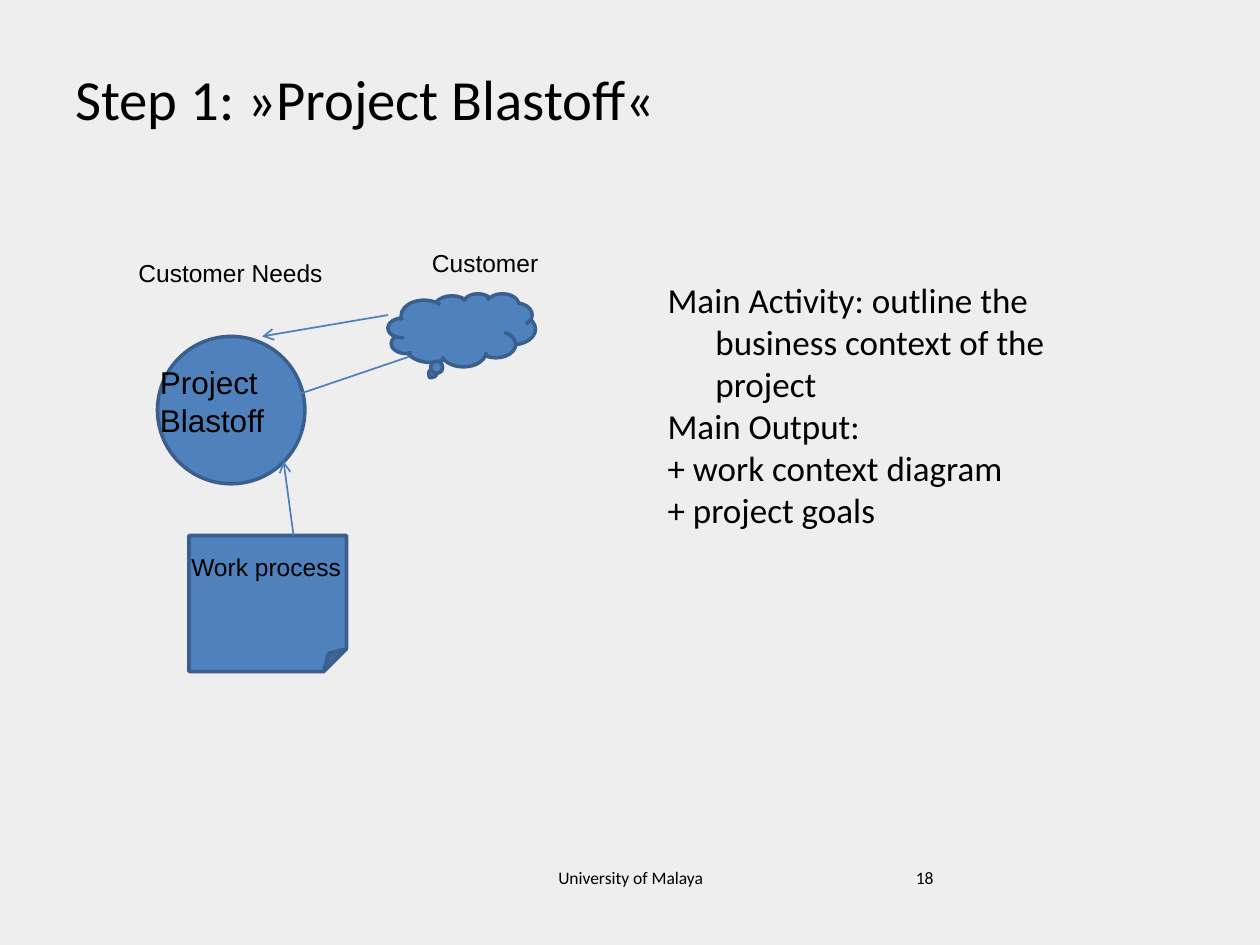
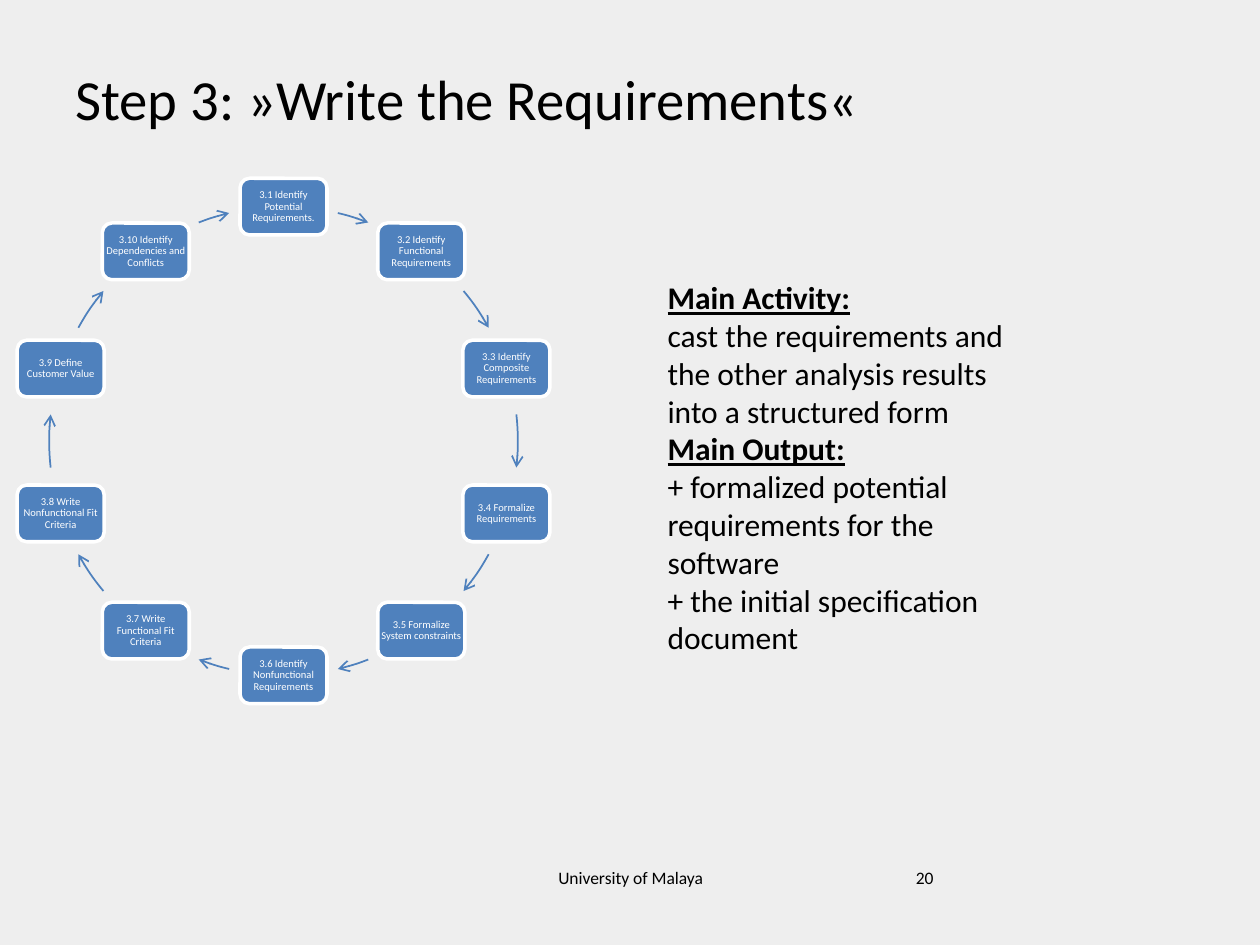
from dataclasses import dataclass
from math import cos, radians, sin

from lxml import etree
from pptx import Presentation
from pptx import util as u
from pptx.dml import color as col
from pptx.enum import shapes, text
from pptx.oxml import ns

KIND = shapes.MSO_SHAPE


@dataclass(frozen=True)
class Theme:
    back: str = "EEEEEE"
    ink: str = "000000"
    blue: str = "4F81BD"
    edge: str = "3A5F8C"
    white: str = "FFFFFF"
    main: str = "Calibri"
    alt: str = "Arial"
    title: float = 32.4
    foot: float = 10
    step: float = 6


THEME = Theme()
FOOTER = "University of Malaya"

# Places are left, top, width, height in inches.
TITLE_BOX = (0.5, 0.39, 9, 1.25)
BODY_BOX = (5.2, 2.16, 3.3, 4.54)
FOOT_BOX = (3.42, 6.83, 3.17, 0.52)
PAGE_BOX = (7.17, 6.83, 2.33, 0.52)

BLAST = dict(
    title="Step 1: »Project Blastoff«", page="18", size=20, heads=(),
    body=["Main Activity: outline the business context of the project",
          "Main Output:", "+ work context diagram", "+ project goals"])
FORMS = [
    (KIND.FOLDED_CORNER, (1.5, 4.25, 1.25, 1.08)),
    (KIND.OVAL, (1.25, 2.67, 1.17, 1.17)),
    (KIND.CLOUD_CALLOUT, (3.08, 2.33, 1.17, 0.58)),
]
LINKS = [
    ((3.25, 2.83), (2.25, 3.17)),
    ((3.08, 2.5), (2.08, 2.67)),
    ((2.33, 4.25), (2.25, 3.66)),
]
LABELS = [
    ("Project Blastoff", 18, (1.17, 2.83, 1.5, 0.71)),
    ("Customer Needs", 14, (1, 2, 1.75, 0.34)),
    ("Work process", 14, (1.42, 4.33, 1.5, 0.34)),
    ("Customer", 14, (3.33, 1.92, 1.33, 0.34)),
]

WRITE = dict(
    title="Step 3: »Write the Requirements«", page="20", size=18,
    heads=("Main Activity:", "Main Output:"),
    body=["Main Activity:", "cast the requirements and",
          "the other analysis results", "into a structured form",
          "Main Output:", "+ formalized potential",
          "requirements for the", "software",
          "+ the initial specification", "document"])
STEPS = [
    "3.1 Identify Potential Requirements.",
    "3.2 Identify Functional Requirements",
    "3.3 Identify Composite Requirements",
    "3.4 Formalize Requirements",
    "3.5 Formalize System constraints",
    "3.6 Identify Nonfunctional Requirements",
    "3.7 Write Functional Fit Criteria",
    "3.8 Write Nonfunctional Fit Criteria",
    "3.9 Define Customer Value",
    "3.10 Identify Dependencies and Conflicts",
]
HUB, RADIUS, NODE = (2.25, 3.5), 1.86, (0.69, 0.45)
# Start and end angle of each arrow on the right half; the left half repeats them.
ARCS = [(13.4, 21.2), (50.2, 61.1), (83.5, 96.5), (118.9, 129.8), (158.8, 166.6)]


def rgb(code):
    return col.RGBColor.from_string(code)


def inch(vals):
    return [u.Inches(v) for v in vals]


def style(para, size, name=THEME.main, ink=THEME.ink):
    para.font.size, para.font.name = u.Pt(size), name
    para.font.color.rgb = rgb(ink)


def write(slide, lines, place, size, name=THEME.main):
    box = slide.shapes.add_textbox(*inch(place))
    frame = box.text_frame
    frame.word_wrap = True
    frame.text = "\n".join(lines)
    for para in frame.paragraphs:
        style(para, size, name)
    return frame


def form(slide, kind, place, edge):
    shape = slide.shapes.add_shape(kind, *inch(place))
    shape.shadow.inherit = False
    shape.fill.solid()
    shape.fill.fore_color.rgb = rgb(THEME.blue)
    shape.line.color.rgb = rgb(edge)
    shape.line.width = u.Pt(2)
    return shape


def point(shape):
    """Style a line and give its end an open arrowhead."""
    shape.line.color.rgb = rgb(THEME.blue)
    shape.line.width = u.Pt(1)
    etree.SubElement(shape.line._get_or_add_ln(), ns.qn("a:tailEnd"), type="arrow")


def frame_slide(deck, data):
    """Add a slide with its title, body and footer."""
    slide = deck.slides.add_slide(deck.slide_layouts[6])
    head = write(slide, [data["title"]], TITLE_BOX, THEME.title)
    head.vertical_anchor = text.MSO_ANCHOR.BOTTOM
    head.margin_bottom = u.Inches(0.59)
    body = write(slide, data["body"], BODY_BOX, data["size"])
    for para in body.paragraphs:
        props = para._p.get_or_add_pPr()
        props.set("marL", str(u.Inches(0.38)))
        props.set("indent", str(u.Inches(-0.38)))
        if para.text in data["heads"]:
            para.font.bold = para.font.underline = True
    foot = write(slide, [FOOTER], FOOT_BOX, THEME.foot)
    foot.paragraphs[0].alignment = text.PP_ALIGN.CENTER
    write(slide, [data["page"]], PAGE_BOX, THEME.foot)
    return slide


def draw_blast(slide):
    for kind, place in FORMS:
        form(slide, kind, place, THEME.edge)
    for start, end in LINKS:
        link = slide.shapes.add_connector(
            shapes.MSO_CONNECTOR.STRAIGHT, *inch(start + end))
        point(link)
        etree.SubElement(link._element.spPr, ns.qn("a:effectLst"))
    for words, size, place in LABELS:
        write(slide, [words], place, size, THEME.alt)


def draw_node(slide, words, angle):
    """Place a step on the ring, clockwise from the top."""
    turn = radians(angle)
    x, y = HUB[0] + RADIUS * sin(turn), HUB[1] - RADIUS * cos(turn)
    wide, high = NODE
    node = form(slide, KIND.ROUNDED_RECTANGLE,
                (x - wide / 2, y - high / 2, wide, high), THEME.white)
    frame = node.text_frame
    frame.word_wrap = True
    frame.margin_left = frame.margin_right = 0
    frame.margin_top = frame.margin_bottom = 0
    frame.vertical_anchor = text.MSO_ANCHOR.MIDDLE
    frame.text = words
    para = frame.paragraphs[0]
    para.alignment = text.PP_ALIGN.CENTER
    para.line_spacing = 0.9
    style(para, THEME.step, ink=THEME.white)


def draw_arc(slide, *ends):
    """Draw an arrow along the ring between two angles from the top."""
    place = (HUB[0] - RADIUS, HUB[1] - RADIUS, 2 * RADIUS, 2 * RADIUS)
    arc = slide.shapes.add_shape(KIND.ARC, *inch(place))
    for i, angle in enumerate(ends):
        # Arc angles start at three o'clock; 0.6 turns degrees into adjustment units.
        arc.adjustments[i] = (angle - 90) % 360 * 0.6
    arc.shadow.inherit = False
    arc.fill.background()
    point(arc)


def draw_ring(slide):
    half = len(ARCS)
    for i, words in enumerate(STEPS):
        draw_node(slide, words, 360 / len(STEPS) * i)
        start, end = ARCS[i % half]
        turn = 180 * (i // half)
        draw_arc(slide, start + turn, end + turn)


def main():
    deck = Presentation()
    deck.slide_width, deck.slide_height = inch((10, 7.5))
    back = deck.slide_master.background.fill
    back.solid()
    back.fore_color.rgb = rgb(THEME.back)
    draw_blast(frame_slide(deck, BLAST))
    draw_ring(frame_slide(deck, WRITE))
    deck.save("out.pptx")


if __name__ == "__main__":
    main()
